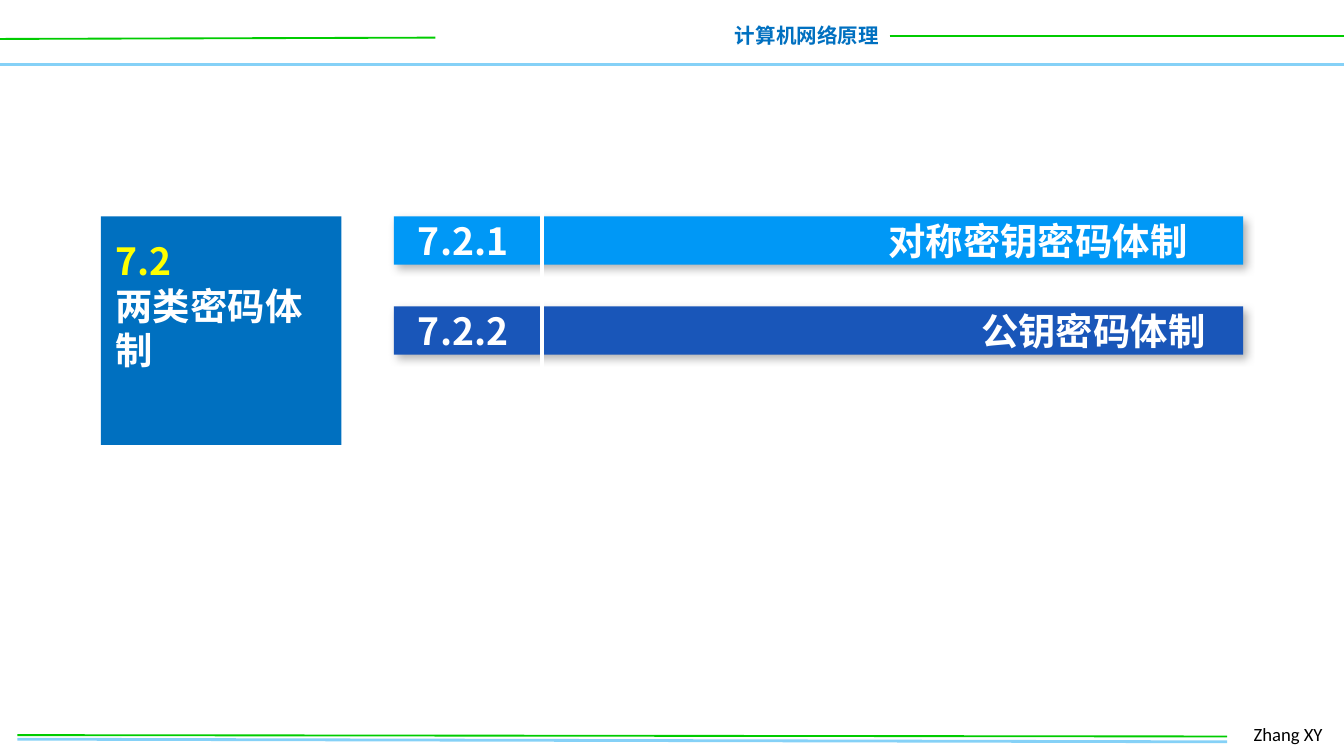
from lxml import etree
from pptx import Presentation
from pptx.dml.color import RGBColor
from pptx.enum.shapes import MSO_CONNECTOR, MSO_SHAPE
from pptx.enum.text import MSO_ANCHOR, MSO_AUTO_SIZE, PP_ALIGN
from pptx.oxml.ns import qn
from pptx.util import Inches, Pt

CJK = "Noto Sans CJK SC"
GREEN, SKY, BLUE, WHITE = "00CC00", "85D1F7", "0070C0", "FFFFFF"


def rgb(value):
    return RGBColor.from_string(value)


def style(paragraph, size, color, font=CJK, bold=True, align=PP_ALIGN.LEFT):
    paragraph.alignment = align
    paragraph.font.name = font
    paragraph.font.size = Pt(size)
    paragraph.font.bold = bold
    paragraph.font.color.rgb = rgb(color)
    defaults = paragraph._p.pPr.find(qn("a:defRPr"))
    etree.SubElement(defaults, qn("a:ea"), typeface=font)


def add_line(slide, start, end, color, width):
    line = slide.shapes.add_connector(
        MSO_CONNECTOR.STRAIGHT, *map(Inches, (*start, *end)))
    line.line.color.rgb = rgb(color)
    line.line.width = Pt(width)
    etree.SubElement(line._element.spPr, qn("a:effectLst"))


def add_label(slide, box, text, **font):
    label = slide.shapes.add_textbox(*map(Inches, box))
    label.text_frame.word_wrap = False
    label.text_frame.text = text
    style(label.text_frame.paragraphs[0], **font)


def add_shadow(shape):
    effects = etree.SubElement(shape._element.spPr, qn("a:effectLst"))
    shadow = etree.SubElement(
        effects, qn("a:outerShdw"), blurRad=str(Pt(4.5)), dist=str(Pt(2.6)),
        dir=str(53 * 60000), algn="tl", rotWithShape="0")
    color = etree.SubElement(shadow, qn("a:srgbClr"), val="000000")
    etree.SubElement(color, qn("a:alpha"), val="30000")


def add_header(slide, left, top, width):
    right = left + width
    add_line(slide, (left, top + 0.48), (right, top + 0.48), SKY, 2)
    add_line(slide, (left, top + 0.29), (left + 3.24, top + 0.28), GREEN, 1)
    add_line(slide, (left + 6.62, top + 0.27), (right, top + 0.27), GREEN, 1)
    add_label(slide, (left + 5.36, top + 0.12, 1.28, 0.29), "计算机网络原理",
              size=11, color=BLUE, align=PP_ALIGN.RIGHT)


def add_footer(slide, left, top, width):
    right = left + width
    add_line(slide, (left, top + 0.17), (right, top + 0.19), SKY, 1.5)
    add_line(slide, (left, top + 0.14), (right, top + 0.15), GREEN, 1)
    add_label(slide, (right + 0.1, top, 0.74, 0.27), "Zhang XY",
              size=10, color="000000", font="Calibri", bold=False)


def add_section_title(slide, left, top, width, height):
    title = slide.shapes.title
    title.left, title.top, title.width, title.height = map(
        Inches, (left, top, width, height))
    title.fill.solid()
    title.fill.fore_color.rgb = rgb(BLUE)
    frame = title.text_frame
    frame.auto_size = MSO_AUTO_SIZE.NONE
    frame.word_wrap = True
    frame.vertical_anchor = MSO_ANCHOR.TOP
    frame.margin_left = frame.margin_right = Inches(0.11)
    frame.margin_top = Inches(0.16)
    frame.text = "7.2\n两类密码体制"
    for paragraph, color in zip(frame.paragraphs, ("FFFF00", WHITE)):
        style(paragraph, 20, color)


def add_topic(slide, left, top, width, height, text, color, tab):
    bar = slide.shapes.add_shape(
        MSO_SHAPE.RECTANGLE, *map(Inches, (left, top, width, height)))
    bar.fill.solid()
    bar.fill.fore_color.rgb = rgb(color)
    bar.line.fill.background()
    add_shadow(bar)
    frame = bar.text_frame
    frame.margin_left = Inches(0.18)
    frame.margin_top = frame.margin_bottom = frame.margin_right = 0
    frame.vertical_anchor = MSO_ANCHOR.MIDDLE
    frame.text = text
    paragraph = frame.paragraphs[0]
    # Tab stop between the number and the topic
    tabs = etree.SubElement(paragraph._p.get_or_add_pPr(), qn("a:tabLst"))
    etree.SubElement(tabs, qn("a:tab"), pos=str(Inches(tab)), algn="l")
    style(paragraph, 20, WHITE)


def add_topics(slide, left, top, width):
    topics = [("7.2.1\t对称密钥密码体制", "0098F6", 3.5),
              ("7.2.2\t公钥密码体制", "1956B9", 4.19)]
    for row, topic in enumerate(topics):
        add_topic(slide, left, top + 0.67 * row, width, 0.36, *topic)
    # Divider through all bars
    add_line(slide, (left + 1.1, top - 0.14), (left + 1.1, top + 1.41),
             WHITE, 2.25)


def main():
    prs = Presentation()
    # Widescreen, 16:9
    prs.slide_width = Inches(10)
    prs.slide_height = prs.slide_width * 9 // 16
    slide = prs.slides.add_slide(prs.slide_layouts[5])
    add_header(slide, 0, 0, 10)
    add_footer(slide, 0.13, 5.33, 9)
    add_topics(slide, 2.93, 1.61, 6.32)
    add_section_title(slide, 0.75, 1.61, 1.79, 1.7)
    prs.save("out.pptx")


if __name__ == "__main__":
    main()
